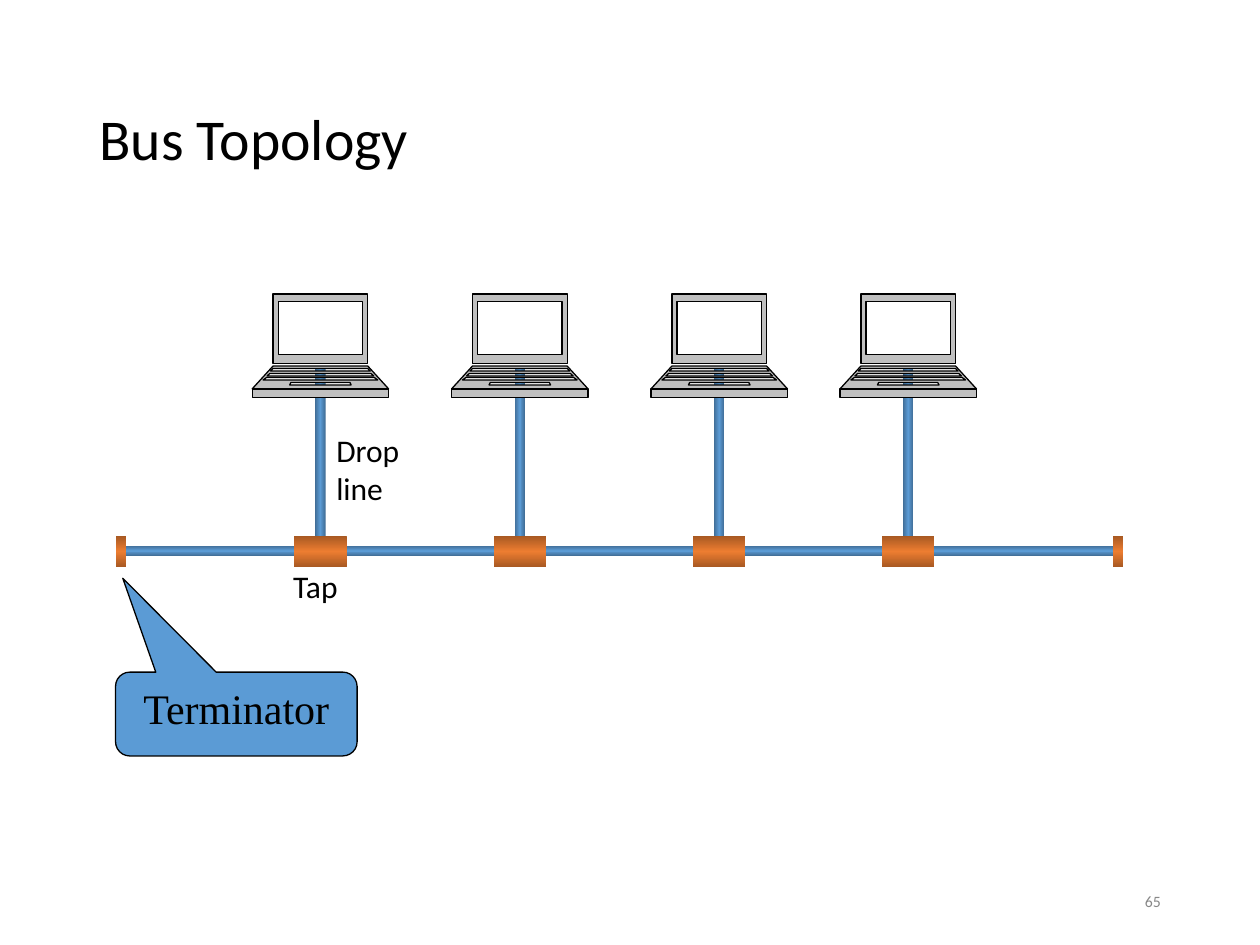
from copy import deepcopy
from dataclasses import dataclass
from typing import Any

from pptx import Presentation
from pptx.dml.color import RGBColor
from pptx.enum.shapes import MSO_SHAPE as Preset
from pptx.enum.text import MSO_ANCHOR as Anchor, MSO_AUTO_SIZE as AutoSize, PP_ALIGN as Align
from pptx.oxml.ns import qn
from pptx.util import Cm, Pt


@dataclass(frozen=True)
class Theme:
    ink: RGBColor = RGBColor.from_string("000000")
    muted: RGBColor = RGBColor.from_string("888888")
    cable: RGBColor = RGBColor.from_string("5B9BD5")
    cable_edge: RGBColor = RGBColor.from_string("406D96")
    tap: RGBColor = RGBColor.from_string("ED7D31")
    tap_edge: RGBColor = RGBColor.from_string("A65822")
    laptop: RGBColor = RGBColor.from_string("C0C0C0")
    body_font: str = "Calibri"
    callout_font: str = "Times New Roman"
    title_size: int = 33
    callout_size: int = 24
    label_size: int = 18
    number_size: int = 9
    outline: float = 0.75


@dataclass(frozen=True)
class Box:
    left: float
    top: float
    width: float
    height: float

    def lengths(self) -> tuple:
        return Cm(self.left), Cm(self.top), Cm(self.width), Cm(self.height)


@dataclass(frozen=True)
class Panel:
    top_width: float
    bottom_width: float
    top: float
    bottom: float

    def corners(self, center: float, top: float) -> list:
        offsets = (
            (-self.top_width / 2, self.top),
            (self.top_width / 2, self.top),
            (self.bottom_width / 2, self.bottom),
            (-self.bottom_width / 2, self.bottom),
        )
        return [(Cm(center + x), Cm(top + y)) for x, y in offsets]


@dataclass(frozen=True)
class Label:
    text: str
    box: Box
    frame: dict
    font: dict
    align: Any = Align.LEFT


THEME = Theme()
CABLE = (THEME.cable_edge, THEME.cable, THEME.cable_edge)
TAP = (THEME.tap_edge, THEME.tap, THEME.tap_edge)
STATION_CENTERS = (6.46, 10.48, 14.5, 18.31)
LAPTOP_TOP = 5.93
TAP_TOP, TAP_WIDTH, TAP_HEIGHT = 10.8, 1.06, 0.64
CABLE_WIDTH = 0.21
BUS = Box(2.54, 11.0, 19.9, CABLE_WIDTH)
LAPTOP_PANELS = (
    Panel(1.91, 1.91, 0, 1.4),
    Panel(1.91, 2.75, 1.45, 1.91),
    Panel(2.75, 2.75, 1.91, 2.08),
    Panel(1.7, 1.7, 0.15, 1.22),
    Panel(1.91, 2.01, 1.5, 1.55),
    Panel(1.19, 1.24, 1.78, 1.83),
    Panel(2.04, 2.15, 1.6, 1.65),
    Panel(2.17, 2.31, 1.68, 1.73),
)
LABEL_FRAME = {"word_wrap": True, "auto_size": AutoSize.SHAPE_TO_FIT_TEXT}
LABEL_FONT = {"name": THEME.body_font, "size": Pt(THEME.label_size)}
LABELS = (
    Label("Drop\vline", Box(6.53, 8.56, 1.88, 1.78), LABEL_FRAME, LABEL_FONT),
    Label("Tap", Box(5.66, 11.3, 1.57, 1.02), LABEL_FRAME, LABEL_FONT),
    Label(
        "65",
        Box(17.93, 17.65, 5.72, 1.02),
        {"word_wrap": True, "vertical_anchor": Anchor.MIDDLE},
        {"name": THEME.body_font, "size": Pt(THEME.number_size), "color": THEME.muted},
        Align.RIGHT,
    ),
)
TITLE = Label(
    "Bus Topology",
    Box(1.75, 1.02, 21.89, 3.68),
    {"word_wrap": True, "vertical_anchor": Anchor.MIDDLE},
    {"name": THEME.body_font, "size": Pt(THEME.title_size)},
)
TERMINATOR = Label(
    "Terminator",
    Box(2.33, 13.55, 4.87, 1.69),
    {"word_wrap": True, "vertical_anchor": Anchor.TOP},
    {"name": THEME.callout_font, "size": Pt(THEME.callout_size)},
    Align.CENTER,
)


def set_all(target: Any, values: dict) -> None:
    for attribute, value in values.items():
        setattr(target, attribute, value)


def write(holder: Any, label: Label) -> None:
    frame = holder.text_frame
    frame.text = label.text
    set_all(frame, label.frame)
    paragraph = frame.paragraphs[0]
    paragraph.alignment = label.align
    font_values = dict(label.font)
    color = font_values.pop("color", THEME.ink)
    for run in paragraph.runs:
        set_all(run.font, font_values)
        run.font.color.rgb = color


def paint(shape: Any, color: RGBColor) -> None:
    shape.shadow.inherit = False
    shape.fill.solid()
    shape.fill.fore_color.rgb = color
    shape.line.color.rgb = THEME.ink
    shape.line.width = Pt(THEME.outline)


def add_bar(shapes: Any, box: Box, colors: tuple, angle: int) -> None:
    bar = shapes.add_shape(Preset.RECTANGLE, *box.lengths())
    bar.shadow.inherit = False
    bar.line.fill.background()
    bar.fill.gradient()
    bar.fill.gradient_angle = angle
    stops = bar._element.spPr.find(qn("a:gradFill")).find(qn("a:gsLst"))
    stops.insert(1, deepcopy(stops[0]))
    for stop, color, position in zip(bar.fill.gradient_stops, colors, (0, 0.5, 1)):
        stop.color.rgb = color
        stop.position = position


def add_station_cable(shapes: Any, center: float) -> None:
    group = shapes.add_group_shape()
    drop = Box(center - CABLE_WIDTH / 2, 7.41, CABLE_WIDTH, 3.81)
    tap = Box(center - TAP_WIDTH / 2, TAP_TOP, TAP_WIDTH, TAP_HEIGHT)
    add_bar(group.shapes, drop, CABLE, 0)
    add_bar(group.shapes, tap, TAP, 90)


def add_laptop(shapes: Any, center: float) -> None:
    first, *others = [panel.corners(center, LAPTOP_TOP) for panel in LAPTOP_PANELS]
    builder = shapes.build_freeform(*first[0])
    builder.add_line_segments(first[1:], close=True)
    for corners in others:
        builder.move_to(*corners[0])
        builder.add_line_segments(corners[1:], close=True)
    laptop = builder.convert_to_shape()
    paint(laptop, THEME.laptop)
    joined = next(laptop._element.iter(qn("a:path")))
    panel_outline = joined
    for step in list(joined):
        if step.tag == qn("a:moveTo") and step is not joined[0]:
            panel_outline = deepcopy(joined)
            for inherited in list(panel_outline):
                panel_outline.remove(inherited)
            joined.getparent().append(panel_outline)
        panel_outline.append(step)


def add_callout(shapes: Any, label: Label) -> None:
    callout = shapes.add_shape(Preset.ROUNDED_RECTANGULAR_CALLOUT, *label.box.lengths())
    for index, value in enumerate((-0.47, -1.62, 0.17)):
        callout.adjustments[index] = value
    paint(callout, THEME.cable)
    write(callout, label)


def main() -> None:
    deck = Presentation()
    set_all(deck, {"slide_width": Cm(25.4), "slide_height": Cm(19.05)})
    slide = deck.slides.add_slide(deck.slide_layouts[5])
    shapes = slide.shapes
    title = shapes.title
    set_all(title, dict(zip(("left", "top", "width", "height"), TITLE.box.lengths())))
    write(title, TITLE)
    title.text_frame.paragraphs[0].line_spacing = 0.9

    add_bar(shapes, BUS, CABLE, 90)
    for center in STATION_CENTERS:
        add_station_cable(shapes, center)
    for left in (BUS.left - CABLE_WIDTH, BUS.left + BUS.width):
        add_bar(shapes, Box(left, TAP_TOP, CABLE_WIDTH, TAP_HEIGHT), TAP, 90)
    for center in STATION_CENTERS:
        add_laptop(shapes, center)
    for label in LABELS:
        write(shapes.add_textbox(*label.box.lengths()), label)
    add_callout(shapes, TERMINATOR)
    deck.save("out.pptx")


if __name__ == "__main__":
    main()
